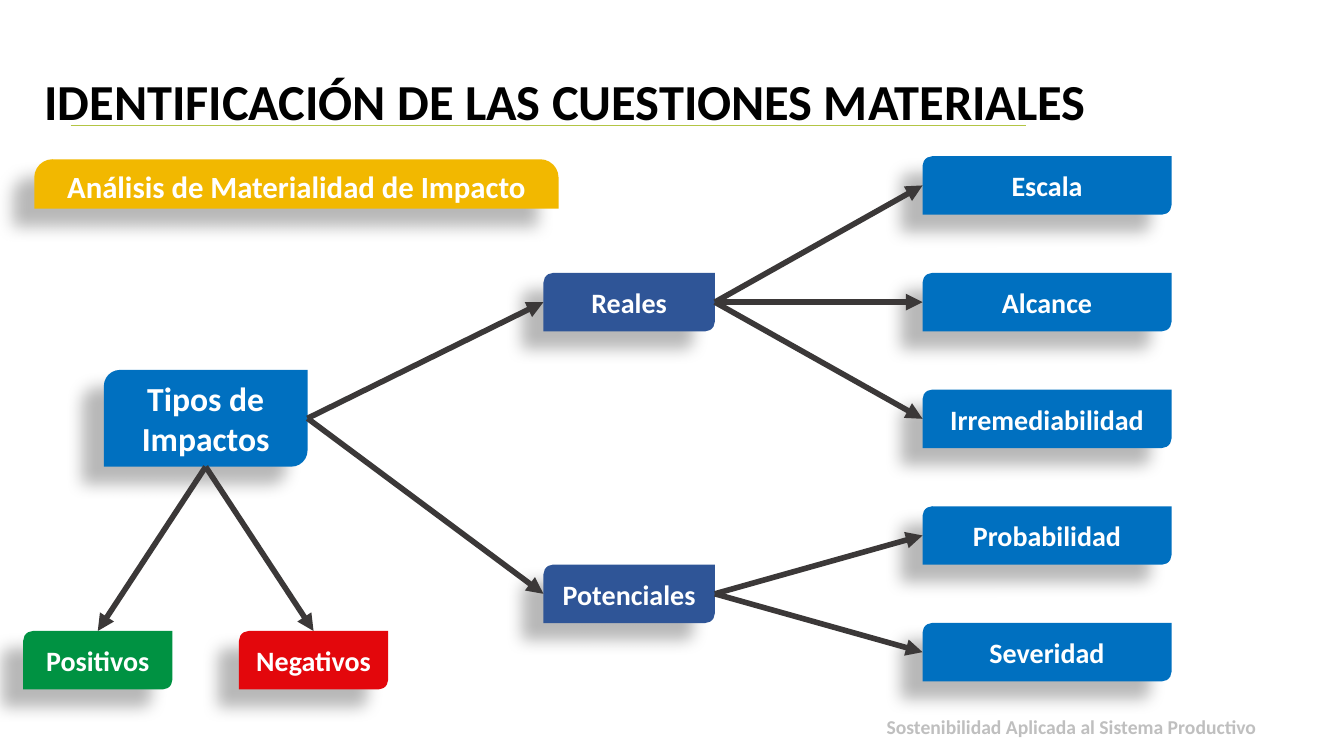
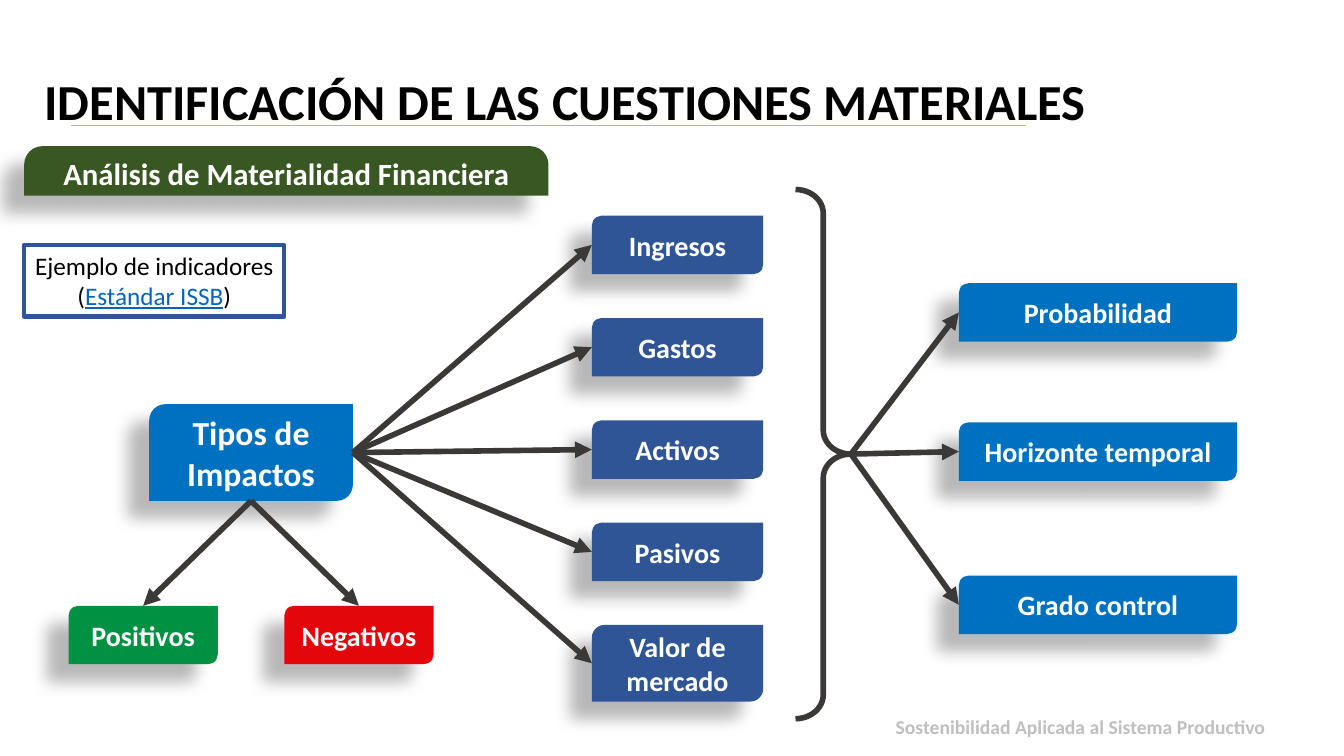
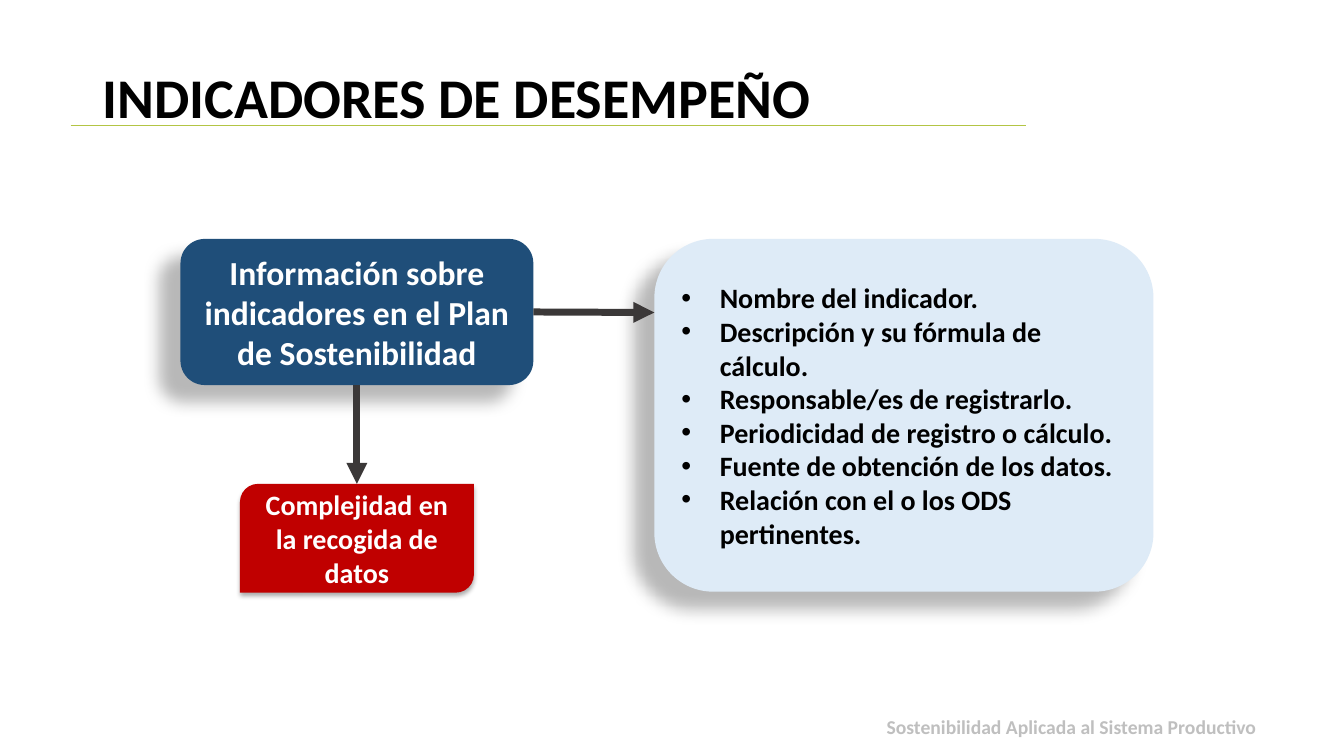
"""Builds three slides on material topics and performance indicators."""
import pptx
import pptx.dml.color
import pptx.enum.shapes
import pptx.enum.text
import pptx.oxml.ns
import pptx.util
from lxml import etree

Inches = pptx.util.Inches
Pt = pptx.util.Pt
RGBColor = pptx.dml.color.RGBColor
Preset = pptx.enum.shapes.MSO_SHAPE
Align = pptx.enum.text.PP_ALIGN
Anchor = pptx.enum.text.MSO_ANCHOR
qn = pptx.oxml.ns.qn

FONT = "Calibri"
BLACK = RGBColor(0x00, 0x00, 0x00)
WHITE = RGBColor(0xFF, 0xFF, 0xFF)
FOOTER_GREY = RGBColor(0xBF, 0xBF, 0xBF)
RULE_GREEN = RGBColor(0xB3, 0xC5, 0x44)
ARROW_GREY = RGBColor(0x3B, 0x38, 0x38)
BLUE = RGBColor(0x00, 0x70, 0xC0)
INDIGO = RGBColor(0x2F, 0x55, 0x97)
NAVY = RGBColor(0x1F, 0x4E, 0x79)
PALE_BLUE = RGBColor(0xDE, 0xEB, 0xF7)
LINK_BLUE = RGBColor(0x05, 0x63, 0xC1)
GREEN = RGBColor(0x00, 0x92, 0x42)
DARK_GREEN = RGBColor(0x38, 0x57, 0x23)
RED = RGBColor(0xE3, 0x07, 0x0C)
DARK_RED = RGBColor(0xC0, 0x00, 0x00)
YELLOW = RGBColor(0xF2, 0xB8, 0x00)

TOP, LEFT, BOTTOM, RIGHT = range(4)
SITES = {
    Preset.ROUND_2_DIAG_RECTANGLE: (3, 2, 1, 0),
    Preset.RIGHT_BRACE: (0, 1, 2, 1),
}
DEEP_SHADOW = (28, 11.8, 19.7, 141)
SOFT_SHADOW = (32, 3.5, 2.2, 90)
MATERIAL_TITLE = "IDENTIFICACIÓN DE LAS CUESTIONES MATERIALES"
FOOTER = "Sostenibilidad Aplicada al Sistema Productivo"


def inches(*values):
    """Convert several numbers to lengths."""
    return [Inches(value) for value in values]


def spread(first, last, count):
    """Return evenly spaced positions from first to last."""
    return [first + (last - first) * i / (count - 1) for i in range(count)]


def add_element(parent, tag, **attributes):
    """Append a drawing element and return it."""
    values = {name: str(value) for name, value in attributes.items()}
    return etree.SubElement(parent, qn(tag), values)


def style(paragraph, size, color, bold=True, align=Align.CENTER):
    """Set the font and alignment of a paragraph."""
    paragraph.alignment = align
    font = paragraph.font
    font.name, font.size, font.bold = FONT, Pt(size), bold
    font.color.rgb = color


def add_shadow(shape, opacity, blur, distance, angle):
    """Give a shape an outer black shadow."""
    shape.shadow.inherit = False
    effects = shape._element.spPr.find(qn("a:effectLst"))
    outer = add_element(effects, "a:outerShdw", blurRad=Pt(blur), dist=Pt(distance),
                        dir=angle * 60000, algn="ctr", rotWithShape=0)
    black = add_element(outer, "a:srgbClr", val="000000")
    add_element(black, "a:alpha", val=opacity * 1000)


def add_box(slide, text, at, fill, size=20, preset=Preset.ROUND_2_DIAG_RECTANGLE,
            shadow=DEEP_SHADOW):
    """Add a filled box with a shadow and centred white text."""
    box = slide.shapes.add_shape(preset, *inches(*at))
    box.fill.solid()
    box.fill.fore_color.rgb = fill
    box.line.fill.background()
    add_shadow(box, *shadow)
    box.text_frame.vertical_anchor = Anchor.MIDDLE
    box.text_frame.text = text
    style(box.text_frame.paragraphs[0], size, WHITE)
    return box


def add_banner(slide, text, left, top, fill):
    """Add the section banner with two rounded upper corners."""
    banner = add_box(slide, text, (left, top, 5.2, 0.49), fill, 22,
                     Preset.ROUND_2_SAME_RECTANGLE)
    banner.adjustments[0] = 0.37


def add_line(slide, start, end, color, width):
    """Add a straight line without a shadow."""
    line = slide.shapes.add_connector(pptx.enum.shapes.MSO_CONNECTOR.STRAIGHT,
                                      *inches(*start, *end))
    line.line.color.rgb = color
    line.line.width = Pt(width)
    add_element(line._element.spPr, "a:effectLst")
    return line


def site(shape, side):
    """Return the connection site number that a preset uses for a side."""
    return SITES.get(shape.auto_shape_type, range(4))[side]


def add_arrow(slide, source, side, target=None, target_side=LEFT, end=(0, 0), width=4):
    """Add an arrow from the side of a shape to another shape or a point."""
    arrow = add_line(slide, (0, 0), end, ARROW_GREY, width)
    add_element(arrow.line._get_or_add_ln(), "a:tailEnd", type="triangle")
    joints = arrow._element.nvCxnSpPr.cNvCxnSpPr
    arrow.begin_connect(source, side)
    joints.stCxn.idx = site(source, side)
    if target is not None:
        arrow.end_connect(target, target_side)
        joints.endCxn.idx = site(target, target_side)


def add_branches(slide, source, labels, left, tops, width, fill):
    """Add a column of boxes, each reached by an arrow from the source."""
    boxes = []
    for label, top in zip(labels, tops):
        height = 0.76 if label == "Valor de mercado" else 0.58
        box = add_box(slide, label, (left, top, width, height), fill)
        add_arrow(slide, source, RIGHT, box)
        boxes.append(box)
    return boxes


def add_impact_types(slide, left, top, sign_top):
    """Add the impact types box with its positive and negative branches."""
    impacts = add_box(slide, "Tipos de Impactos", (left, top, 2.02, 0.96), BLUE, 24)
    for label, offset, fill in (("Positivos", -0.8, GREEN), ("Negativos", 1.34, RED)):
        sign = add_box(slide, label, (left + offset, sign_top, 1.48, 0.58), fill)
        add_arrow(slide, impacts, BOTTOM, sign, TOP)
    return impacts


def add_slide(deck, title, title_left=0.34, title_size=36, footer_left=7.36):
    """Add a slide with the shared title, rule and footer."""
    slide = deck.slides.add_slide(deck.slide_layouts[5])
    heading = slide.shapes.title
    heading.left, heading.top, heading.width, heading.height = inches(
        title_left, 0.58, 10.98 - title_left, 1.45)
    frame = heading.text_frame
    frame.text = title
    frame.word_wrap = True
    frame.auto_size = pptx.enum.text.MSO_AUTO_SIZE.NONE
    frame.vertical_anchor = Anchor.MIDDLE
    frame.margin_bottom = Inches(0.05) + Pt(title_size * 1.1)
    frame.paragraphs[0].line_spacing = 0.9
    style(frame.paragraphs[0], title_size, BLACK, align=Align.LEFT)

    add_line(slide, (0.7, 1.24), (10.18, 1.24), RULE_GREEN, 0.5)

    footer = slide.shapes.add_textbox(*inches(footer_left, 7.07, 5.2, 0.49)).text_frame
    footer.word_wrap = True
    footer.text = FOOTER
    footer.paragraphs[0].line_spacing = 0.9
    style(footer.paragraphs[0], 14, FOOTER_GREY, align=Align.RIGHT)
    return slide


def add_indicator_note(slide):
    """Add the outlined note that names the indicator standard."""
    note = slide.shapes.add_textbox(*inches(0.24, 2.43, 2.58, 0.71))
    note.line.color.rgb = INDIGO
    note.line.width = Pt(3)
    note.text_frame.word_wrap = True
    paragraph = note.text_frame.paragraphs[0]
    style(paragraph, 18, BLACK, bold=False)
    for text in ("Ejemplo de indicadores (", "Estándar ISSB", ")"):
        run = paragraph.add_run()
        run.text = text
        if text == "Estándar ISSB":
            run.font.color.rgb = LINK_BLUE
            run.font.underline = True


def fill_bullets(frame, items):
    """Write items as a bulleted list."""
    frame.text = "\n".join(items)
    for paragraph in frame.paragraphs:
        properties = paragraph._p.get_or_add_pPr()
        properties.set("marL", str(Inches(0.38)))
        properties.set("indent", str(-Inches(0.38)))
        add_element(properties, "a:buFont", typeface="Arial")
        add_element(properties, "a:buChar", char="•")
        style(paragraph, 20, BLACK, align=Align.LEFT)


def build_impact_slide(deck):
    """Build the impact materiality diagram."""
    slide = add_slide(deck, MATERIAL_TITLE)
    add_banner(slide, "Análisis de Materialidad de Impacto", 0.34, 1.58, YELLOW)
    impacts = add_impact_types(slide, 1.03, 3.67, 6.26)
    rows = spread(1.55, 6.18, 5)
    actual, potential = add_branches(slide, impacts, ("Reales", "Potenciales"), 5.39,
                                     (rows[1], (rows[3] + rows[4]) / 2), 1.7, INDIGO)
    add_branches(slide, actual, ("Escala", "Alcance", "Irremediabilidad"),
                 9.15, rows[:3], 2.47, BLUE)
    add_branches(slide, potential, ("Probabilidad", "Severidad"),
                 9.15, rows[3:], 2.47, BLUE)


def build_financial_slide(deck):
    """Build the financial materiality diagram."""
    slide = add_slide(deck, MATERIAL_TITLE, footer_left=7.45)
    add_banner(slide, "Análisis de Materialidad Financiera", 0.24, 1.45, DARK_GREEN)
    impacts = add_impact_types(slide, 1.48, 4.01, 6.01)
    accounts = ("Ingresos", "Gastos", "Activos", "Pasivos", "Valor de mercado")
    add_branches(slide, impacts, accounts, 5.87, spread(2.14, 6.2, 5), 1.7, INDIGO)

    brace = slide.shapes.add_shape(Preset.RIGHT_BRACE, *inches(7.89, 1.88, 0.55, 5.25))
    brace.adjustments[0] = 0.43
    brace.fill.background()
    brace.line.color.rgb = ARROW_GREY
    brace.line.width = Pt(4)
    brace.shadow.inherit = False
    add_branches(slide, brace, ("Probabilidad", "Horizonte temporal", "Grado control"),
                 9.51, (2.81, 4.19, 5.71), 2.76, BLUE)
    add_indicator_note(slide)


def build_indicator_slide(deck):
    """Build the performance indicator slide."""
    slide = add_slide(deck, "INDICADORES DE DESEMPEÑO", 0.92, 40)
    plan = add_box(slide, "Información sobre indicadores en el Plan de Sostenibilidad",
                   (1.79, 2.37, 3.5, 1.45), NAVY, 24, Preset.ROUNDED_RECTANGLE)
    contents = add_box(slide, "", (6.49, 2.37, 4.95, 3.5), PALE_BLUE,
                       preset=Preset.ROUNDED_RECTANGLE)
    fill_bullets(contents.text_frame, (
        "Nombre del indicador.",
        "Descripción y su fórmula de cálculo.",
        "Responsable/es de registrarlo.",
        "Periodicidad de registro o cálculo.",
        "Fuente de obtención de los datos.",
        "Relación con el o los ODS pertinentes.",
    ))
    complexity = add_box(slide, "Complejidad en la recogida de datos",
                         (2.38, 4.8, 2.32, 1.08), DARK_RED, shadow=SOFT_SHADOW)
    add_arrow(slide, plan, RIGHT, end=(6.49, 3.1), width=5)
    add_arrow(slide, plan, BOTTOM, complexity, TOP, width=5)


def main():
    """Build and save the presentation."""
    deck = pptx.Presentation()
    deck.slide_width, deck.slide_height = inches(13.33, 7.5)
    build_impact_slide(deck)
    build_financial_slide(deck)
    build_indicator_slide(deck)
    deck.save("out.pptx")


if __name__ == "__main__":
    main()
